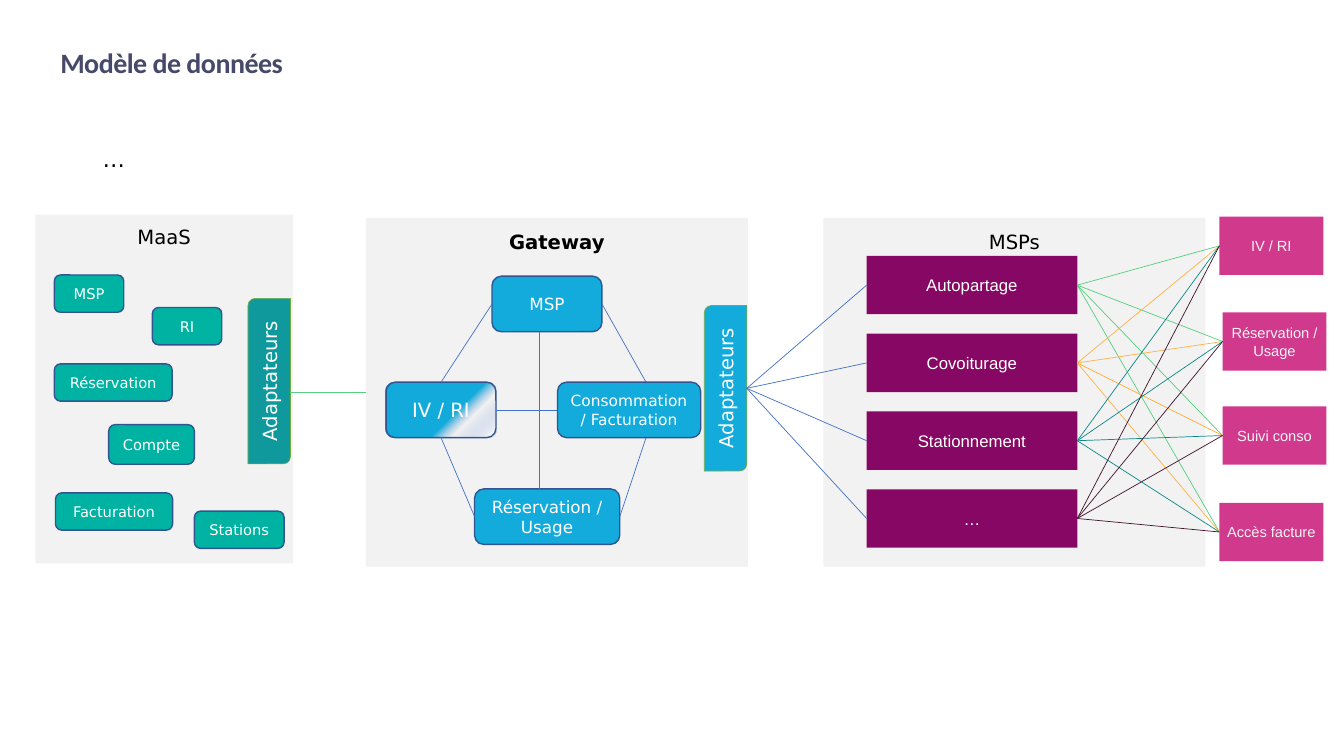
from dataclasses import dataclass

import lxml.etree
import pptx
import pptx.dml.color
import pptx.enum.shapes
import pptx.enum.text
import pptx.oxml
import pptx.oxml.ns
import pptx.util

Cm = pptx.util.Cm
Pt = pptx.util.Pt
MSO = pptx.enum.shapes.MSO_SHAPE
ANCHOR = pptx.enum.text.MSO_ANCHOR
ALIGN = pptx.enum.text.PP_ALIGN


@dataclass(frozen=True)
class Theme:
    title: str = "46496A"
    ink: str = "000000"
    white: str = "FFFFFF"
    panel: str = "F2F2F2"
    mode: str = "860864"
    service: str = "D13A8C"
    maas: str = "00B2A2"
    maas_adapter: str = "0F999C"
    gateway: str = "12ABDB"
    gateway_fade: str = "8FAADC"
    node_edge: str = "325491"
    adapter_edge: str = "70AD47"
    link: str = "4472C4"
    fans: tuple = ("57CF80", "FFB24A", "0F878A", "42142E")
    heading_font: str = "Calibri"
    node_font: str = "DejaVu Sans"
    block_font: str = "Arial"
    heading_size: float = 20
    lead_size: float = 16
    label_size: float = 14
    node_size: float = 12
    tight_size: float = 11
    small_size: float = 10.5
    hairline: float = 0.5
    outline: float = 1


def rgb(value):
    return pptx.dml.color.RGBColor.from_string(value)


def write(shape, text, *, size, font, color, bold=False, align=ALIGN.CENTER,
          anchor=ANCHOR.MIDDLE, insets=(0.25, 0.13, 0.25, 0.13), spacing=None, vertical=False):
    frame = shape.text_frame
    frame.word_wrap = True
    frame.vertical_anchor = anchor
    frame.margin_left, frame.margin_top, frame.margin_right, frame.margin_bottom = map(Cm, insets)
    if vertical:
        frame._txBody.bodyPr.set("vert", "vert270")
    paragraph = frame.paragraphs[0]
    paragraph.alignment = align
    run = paragraph.add_run()
    run.text = text
    run.font.size = Pt(size)
    run.font.name = font
    run.font.bold = bold
    run.font.color.rgb = rgb(color)
    if spacing is not None:
        run._r.get_or_add_rPr().set("spc", str(spacing))


def side(shape, x, y):
    return shape.left + int(shape.width * x), shape.top + int(shape.height * y)


def left(shape):
    return side(shape, 0, 0.5)


def right(shape):
    return side(shape, 1, 0.5)


class Diagram:
    def __init__(self, slide, theme):
        self.slide = slide
        self.theme = theme

    def shape(self, kind, box, fill, edge=None, width=None):
        shape = self.slide.shapes.add_shape(kind, *map(Cm, box))
        shape.shadow.inherit = False
        shape.fill.solid()
        shape.fill.fore_color.rgb = rgb(fill)
        if edge:
            shape.line.color.rgb = rgb(edge)
            shape.line.width = Pt(width)
        else:
            shape.line.fill.background()
        return shape

    def text(self, text, box, **style):
        area = self.slide.shapes.add_textbox(*map(Cm, box))
        write(area, text, align=ALIGN.LEFT, anchor=ANCHOR.TOP, **style)

    def panel(self, text, box, bold=False, top=0.3):
        t = self.theme
        write(self.shape(MSO.RECTANGLE, box, t.panel), text, size=t.label_size, font=t.node_font,
              color=t.ink, bold=bold, anchor=ANCHOR.TOP, insets=(0.15, top, 0.15, 0.15))

    def block(self, text, box, fill, size, color):
        block = self.shape(MSO.RECTANGLE, box, fill)
        write(block, text, size=size, font=self.theme.block_font, color=color, insets=(0.15,) * 4)
        return block

    def node(self, text, box, fill, size):
        t = self.theme
        node = self.shape(MSO.ROUNDED_RECTANGLE, box, fill, t.node_edge, t.outline)
        write(node, text, size=size, font=t.node_font, color=t.white)
        return node

    def adapter(self, box, fill):
        t = self.theme
        adapter = self.shape(MSO.ROUND_2_DIAG_RECTANGLE, box, fill, t.adapter_edge, t.hairline)
        write(adapter, "Adaptateurs", size=t.label_size, font=t.node_font, color=t.white,
              vertical=True)
        return adapter

    def fade(self, node):
        t = self.theme
        gradient = pptx.oxml.parse_xml(
            f'<a:gradFill {pptx.oxml.ns.nsdecls("a")} rotWithShape="1"><a:gsLst>'
            f'<a:gs pos="2000"><a:srgbClr val="{t.white}"/></a:gs>'
            f'<a:gs pos="27000"><a:srgbClr val="{t.gateway_fade}"><a:alpha val="0"/></a:srgbClr></a:gs>'
            f'<a:gs pos="40000"><a:srgbClr val="{t.gateway}"/></a:gs></a:gsLst>'
            '<a:path path="circle"><a:fillToRect l="100000" t="100000"/></a:path></a:gradFill>')
        properties = node._element.spPr
        properties.replace(properties.find(pptx.oxml.ns.qn("a:solidFill")), gradient)

    def line(self, start, end, color):
        line = self.slide.shapes.add_connector(
            pptx.enum.shapes.MSO_CONNECTOR.STRAIGHT, *start, *end)
        line.line.color.rgb = rgb(color)
        line.line.width = Pt(self.theme.hairline)
        lxml.etree.SubElement(line._element.spPr, pptx.oxml.ns.qn("a:effectLst"))


def main():
    deck = pptx.Presentation()
    deck.slide_width, deck.slide_height = Cm(33.87), Cm(19.05)
    t = Theme()
    d = Diagram(deck.slides.add_slide(deck.slide_layouts[6]), t)

    d.text("…", (2.34, 3.53, 13.74, 0.94), size=t.lead_size, font=t.node_font, color=t.ink)
    d.text("Modèle de données", (1.52, 0.64, 24.82, 2.51), size=t.heading_size,
           font=t.heading_font, color=t.title, bold=True, insets=(0, 0.51, 0, 0), spacing=-40)
    d.panel("MaaS", (0.89, 5.41, 6.5, 8.79), top=0.25)
    d.panel("Gateway", (9.22, 5.49, 9.63, 8.79), bold=True)
    d.panel("MSPs", (20.75, 5.49, 9.63, 8.79))

    modes = [d.block(name, (21.84, 6.45 + 1.96 * row, 5.31, 1.47), t.mode, t.node_size, t.white)
             for row, name in enumerate(("Autopartage", "Covoiturage", "Stationnement", "…"))]
    services = [d.block(name, (x, y, 2.62, 1.47), t.service, t.small_size, t.panel)
                for name, x, y in (("IV / RI", 30.73, 5.46), ("Réservation / Usage", 30.81, 7.87),
                                   ("Suivi conso", 30.81, 10.24), ("Accès facture", 30.73, 12.67))]

    d.adapter((6.25, 7.52, 1.07, 4.17), t.maas_adapter)
    gateway_adapter = d.adapter((17.75, 7.7, 1.07, 4.17), t.gateway)
    msp = d.node("MSP", (12.4, 6.96, 2.77, 1.4), t.gateway, t.node_size)
    info = d.node("IV / RI", (9.73, 9.63, 2.77, 1.4), t.gateway, t.label_size)
    d.fade(info)
    booking = d.node("Réservation / Usage", (11.96, 12.32, 3.66, 1.4), t.gateway, t.node_size)

    billing_x = Cm(16.28)
    axis_x = Cm(13.6)
    info_top, info_bottom = side(info, 0.5, 0), side(info, 0.5, 1)
    for start, end in (
        (right(booking), (billing_x, info_bottom[1])),
        (left(booking), info_bottom),
        (left(msp), info_top),
        ((billing_x, info_top[1]), right(msp)),
        ((Cm(14.9), right(info)[1]), right(info)),
        ((axis_x, booking.top), (axis_x, msp.top + msp.height)),
    ):
        d.line(start, end, t.link)
    d.node("Consommation / Facturation", (14.05, 9.63, 3.61, 1.4), t.gateway, t.tight_size)

    for mode, color in zip(modes, t.fans):
        d.line(left(mode), right(gateway_adapter), t.link)
        for service in services:
            d.line(left(service), right(mode), color)

    for name, *box in (
        ("MSP", 1.37, 6.93, 1.75, 0.94),
        ("RI", 3.84, 7.75, 1.75, 0.94),
        ("Réservation", 1.37, 9.17, 2.97, 0.94),
        ("Compte", 2.74, 10.7, 2.16, 1),
        ("Facturation", 1.4, 12.42, 2.95, 0.94),
        ("Stations", 4.9, 12.88, 2.26, 0.94),
    ):
        d.node(name, box, t.maas, t.small_size)
    d.line((Cm(9.22), Cm(9.88)), (Cm(7.3), Cm(9.88)), t.fans[0])

    deck.save("out.pptx")


if __name__ == "__main__":
    main()
